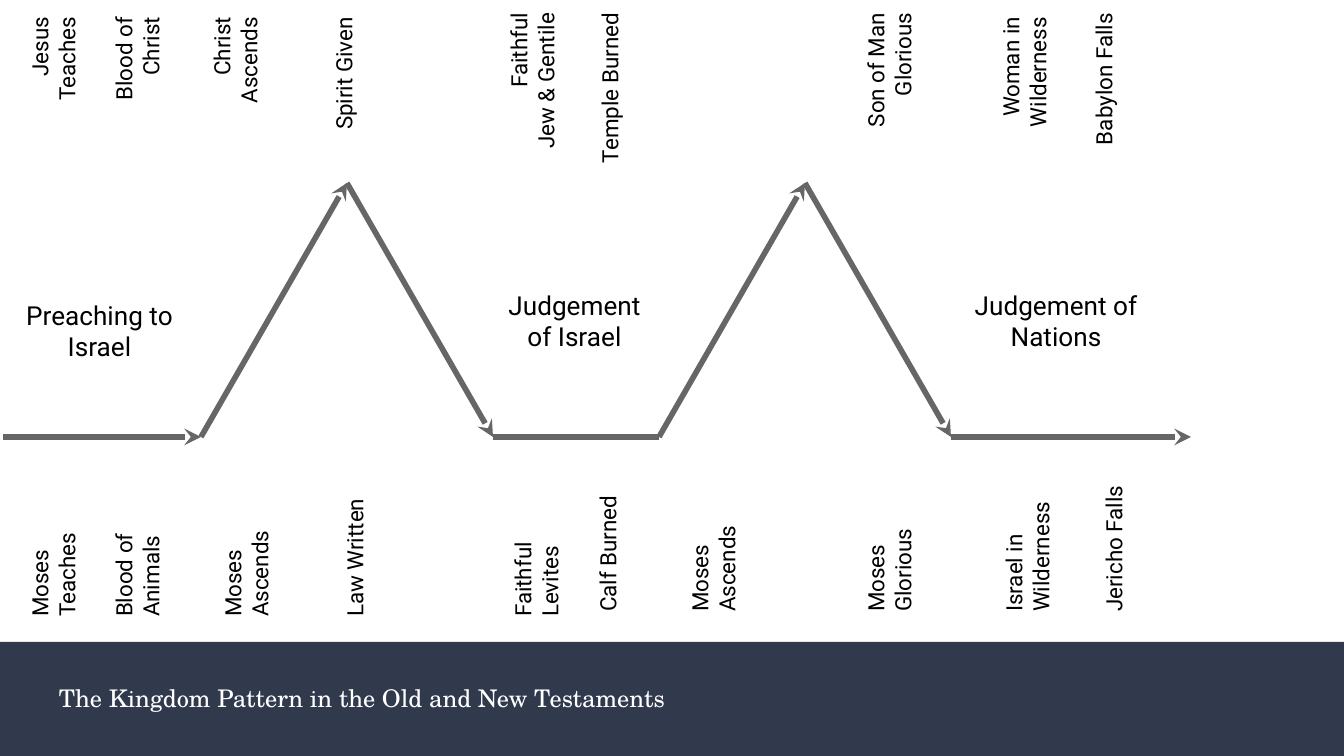
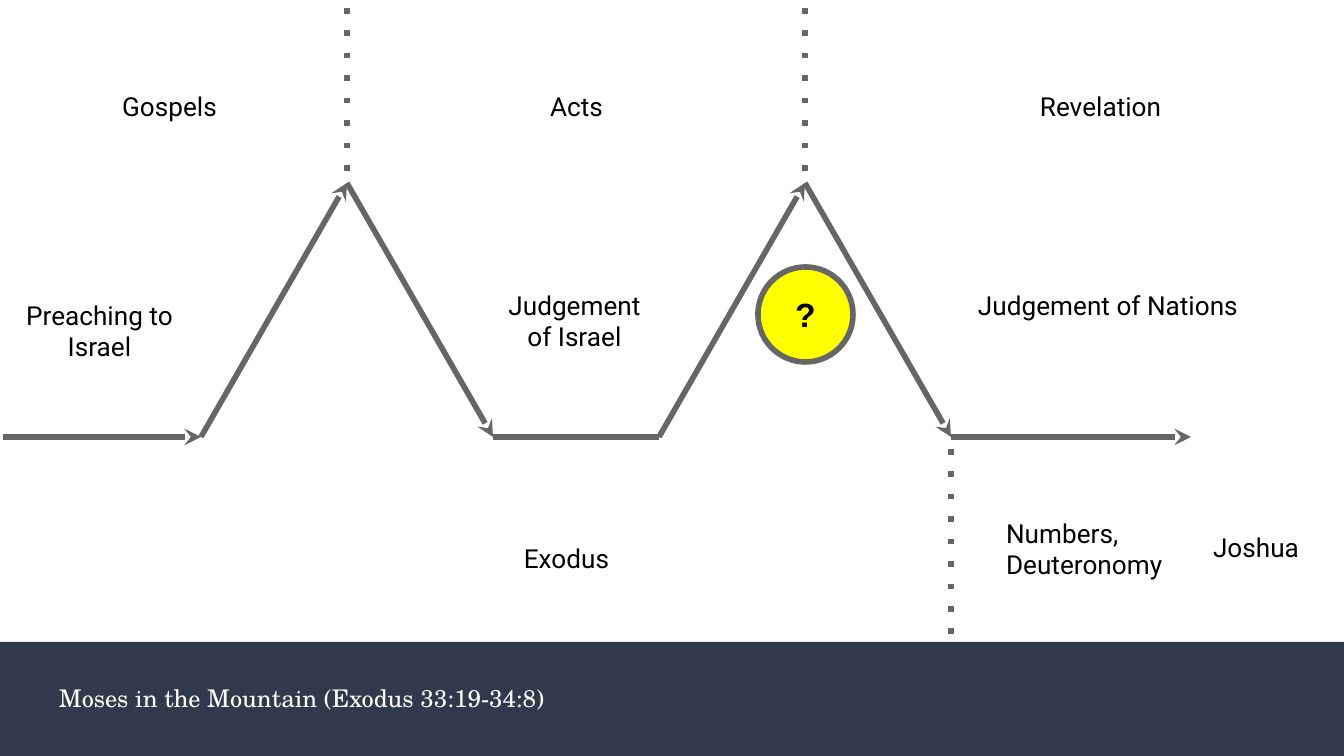
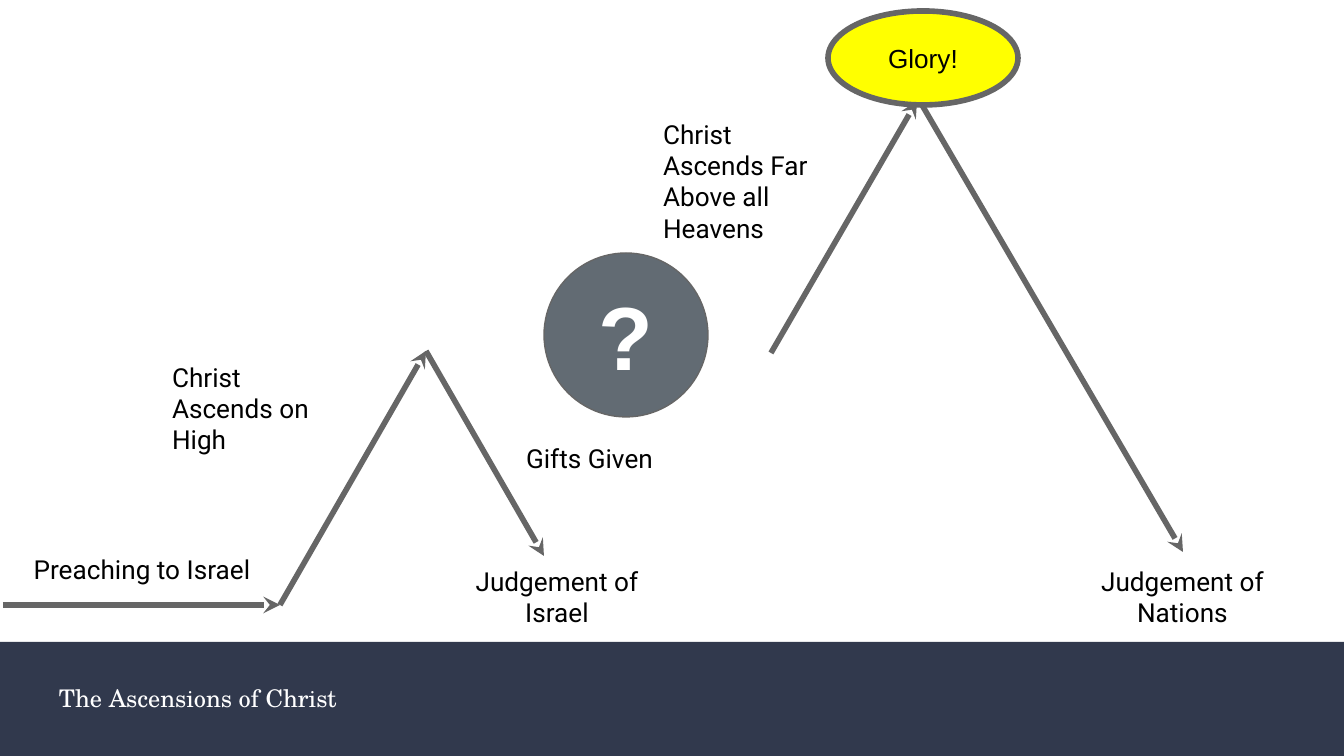
from itertools import pairwise

from lxml.etree import SubElement
from pptx import Presentation
from pptx.dml.color import RGBColor
from pptx.enum.shapes import MSO_CONNECTOR, MSO_SHAPE
from pptx.enum.text import MSO_ANCHOR, MSO_AUTO_SIZE, PP_ALIGN
from pptx.oxml.ns import qn
from pptx.util import Emu, Pt

EMU_PER_PX = 914400 / 134.4
SLIDE_SIZE = (1344, 756)
BAND = (0, 642, 1344, 114)
CAPTION = (46, 664, 1173, 67)
INSET = 13

NAVY, GRAY, SLATE = "31394D", "666666", "626B73"
YELLOW, BLACK, WHITE = "FFFF00", "000000", "FFFFFF"
BODY_FONT, CAPTION_FONT, OVAL_FONT = "Roboto", "TeX Gyre Schola", "Arial"
LEFT, CENTER, RIGHT = PP_ALIGN.LEFT, PP_ALIGN.CENTER, PP_ALIGN.RIGHT

# The journey shared by the first two slides: plain, mountain, plain, mountain, plain
PLAIN, PEAK = 437, 183
KINGDOM_POINTS = [(3, PLAIN), (201, PLAIN), (347, PEAK), (493, PLAIN),
                  (659, PLAIN), (805, PEAK), (951, PLAIN), (1191, PLAIN)]
KINGDOM_ENDS = ["arrow", "arrow", "arrow", "plain", "arrow", "arrow", "arrow"]
KINGDOM_LINES = [(*pair, end) for pair, end in zip(pairwise(KINGDOM_POINTS), KINGDOM_ENDS)]
ASCENT_POINTS = [(3, 605), (280, 605), (426, 351), (544, 556)]

# Vertical labels: text, left edge and top edge as seen after turning
VERTICAL_LENGTH = 177
NEW_TESTAMENT = [
    ("Jesus\nTeaches", 13, 4), ("Blood of\nChrist", 97, 4), ("Christ\nAscends", 195, 4),
    ("Spirit Given", 317, 4), ("Faithful\nJew & Gentile", 492, 0), ("Temple Burned", 583, 0),
    ("Son of Man\nGlorious", 849, 0), ("Woman in\nWilderness", 984, 4),
    ("Babylon Falls", 1077, 0),
]
OLD_TESTAMENT = [
    ("Moses\nTeaches", 13, 453), ("Blood of\nAnimals", 97, 453), ("Moses\nAscends", 206, 453),
    ("Law Written", 328, 453), ("Faithful\nLevites", 496, 453), ("Calf Burned", 581, 448),
    ("Moses\nAscends", 673, 448), ("Moses\nGlorious", 849, 448),
    ("Israel in\nWilderness", 987, 448), ("Jericho Falls", 1087, 448),
]

# Labels: text, (left, top, width, height), alignment
KINGDOM_LABELS = [
    ("Preaching to Israel", (11, 286, 177, 46), CENTER),
    ("Judgement of Israel", (493, 276, 163, 46), CENTER),
]
# Ovals: text, box, fill, line width, font size, font colour, bold
SLIDES = [
    {
        "caption": "The Kingdom Pattern in the Old and New Testaments",
        "lines": KINGDOM_LINES,
        "labels": KINGDOM_LABELS + [("Judgement of Nations", (953, 276, 206, 46), CENTER)],
        "vertical": [(NEW_TESTAMENT, RIGHT), (OLD_TESTAMENT, LEFT)],
        "ovals": [],
    },
    {
        "caption": "Moses in the Mountain (Exodus 33:19-34:8)",
        "lines": KINGDOM_LINES + [
            ((347, 8), (347, 175), "dotted"),
            ((805, 8), (805, 175), "dotted"),
            ((951, 449), (951, 637), "dotted"),
        ],
        "labels": KINGDOM_LABELS + [
            ("Judgement of Nations", (953, 276, 310, 46), CENTER),
            ("Gospels", (81, 77, 177, 56), CENTER),
            ("Acts", (488, 77, 177, 56), CENTER),
            ("Revelation", (1012, 77, 177, 56), CENTER),
            ("Exodus", (478, 529, 177, 56), CENTER),
            ("Numbers, Deuteronomy", (993, 504, 215, 94), LEFT),
            ("Joshua", (1200, 518, 124, 81), LEFT),
        ],
        "vertical": [],
        "ovals": [("?", (758, 267, 95, 95), YELLOW, 3, 18, BLACK, True)],
    },
    {
        "caption": "The Ascensions of Christ",
        "lines": [(*pair, "arrow") for pair in pairwise(ASCENT_POINTS)] + [
            ((771, 353), (917, 101), "arrow"),
            ((915, 93), (1183, 552), "arrow"),
        ],
        "labels": [
            ("Preaching to Israel", (11, 540, 262, 46), CENTER),
            ("Christ Ascends on High", (159, 348, 177, 114), LEFT),
            ("Judgement of Israel", (442, 552, 230, 70), CENTER),
            ("Gifts Given", (513, 429, 177, 70), LEFT),
            ("Christ Ascends Far Above all Heavens", (650, 105, 177, 121), LEFT),
            ("Judgement of Nations", (1044, 552, 277, 70), CENTER),
        ],
        "vertical": [],
        "ovals": [
            ("Glory!", (828, 11, 190, 94), YELLOW, 3, 14, BLACK, False),
            ("?", (544, 253, 164, 164), SLATE, 0.75, 48, WHITE, True),
        ],
    },
]


def px(length):
    return Emu(round(length * EMU_PER_PX))


def scaled(lengths):
    return [px(length) for length in lengths]


def color(hex_string):
    return RGBColor.from_string(hex_string)


def write(shape, text, size, font_name, font_color, alignment, anchor, bold=False):
    frame = shape.text_frame
    frame.text = text
    frame.word_wrap = True
    frame.auto_size = MSO_AUTO_SIZE.NONE
    frame.vertical_anchor = anchor
    frame.margin_left = frame.margin_right = px(INSET)
    frame.margin_top = frame.margin_bottom = px(INSET)
    for paragraph in frame.paragraphs:
        paragraph.alignment = alignment
        paragraph.font.size = Pt(size)
        paragraph.font.name = font_name
        paragraph.font.bold = bold
        paragraph.font.color.rgb = color(font_color)


def add_line(slide, start, end, style):
    connector = slide.shapes.add_connector(MSO_CONNECTOR.STRAIGHT, *scaled(start + end))
    connector.line.color.rgb = color(GRAY)
    connector.line.width = Pt(3)
    line = connector.line._get_or_add_ln()
    if style == "arrow":
        SubElement(line, qn("a:tailEnd"), type="stealth")
    elif style == "dotted":
        SubElement(line, qn("a:prstDash"), val="dot")
    SubElement(connector._element.spPr, qn("a:effectLst"))


def add_label(slide, text, box, alignment, size=14):
    label = slide.shapes.add_textbox(*scaled(box))
    write(label, text, size, BODY_FONT, BLACK, alignment, MSO_ANCHOR.TOP)
    return label


def add_vertical_label(slide, text, left, top, alignment):
    """Place a label by its corner as seen after a quarter turn to the left."""
    thickness = 70 if "\n" in text else 46
    shift = (VERTICAL_LENGTH - thickness) / 2
    box = (left - shift, top + shift, VERTICAL_LENGTH, thickness)
    add_label(slide, text, box, alignment, size=12).rotation = 270


def add_filled(slide, preset, box, fill):
    shape = slide.shapes.add_shape(preset, *scaled(box))
    shape.shadow.inherit = False
    shape.fill.solid()
    shape.fill.fore_color.rgb = color(fill)
    return shape


def add_oval(slide, text, box, fill, line_width, size, font_color, bold):
    oval = add_filled(slide, MSO_SHAPE.OVAL, box, fill)
    oval.line.color.rgb = color(GRAY)
    oval.line.width = Pt(line_width)
    write(oval, text, size, OVAL_FONT, font_color, CENTER, MSO_ANCHOR.MIDDLE, bold)


def move_band_to_layout(slide, layout):
    """Draw the caption band once, behind everything on the shared layout."""
    band = add_filled(slide, MSO_SHAPE.RECTANGLE, BAND, NAVY)
    band.line.fill.background()
    layout.shapes._spTree.insert(2, band._element)


def main():
    presentation = Presentation()
    presentation.slide_width, presentation.slide_height = scaled(SLIDE_SIZE)
    layout = presentation.slide_layouts.get_by_name("Title Only")

    for number, content in enumerate(SLIDES):
        slide = presentation.slides.add_slide(layout)
        if number == 0:
            move_band_to_layout(slide, layout)
        title = slide.shapes.title
        title.left, title.top, title.width, title.height = scaled(CAPTION)
        write(title, content["caption"], 13, CAPTION_FONT, WHITE, LEFT, MSO_ANCHOR.MIDDLE)
        for line in content["lines"]:
            add_line(slide, *line)
        for label in content["labels"]:
            add_label(slide, *label)
        for row, alignment in content["vertical"]:
            for vertical_label in row:
                add_vertical_label(slide, *vertical_label, alignment)
        for oval in content["ovals"]:
            add_oval(slide, *oval)

    presentation.save("out.pptx")


if __name__ == "__main__":
    main()
